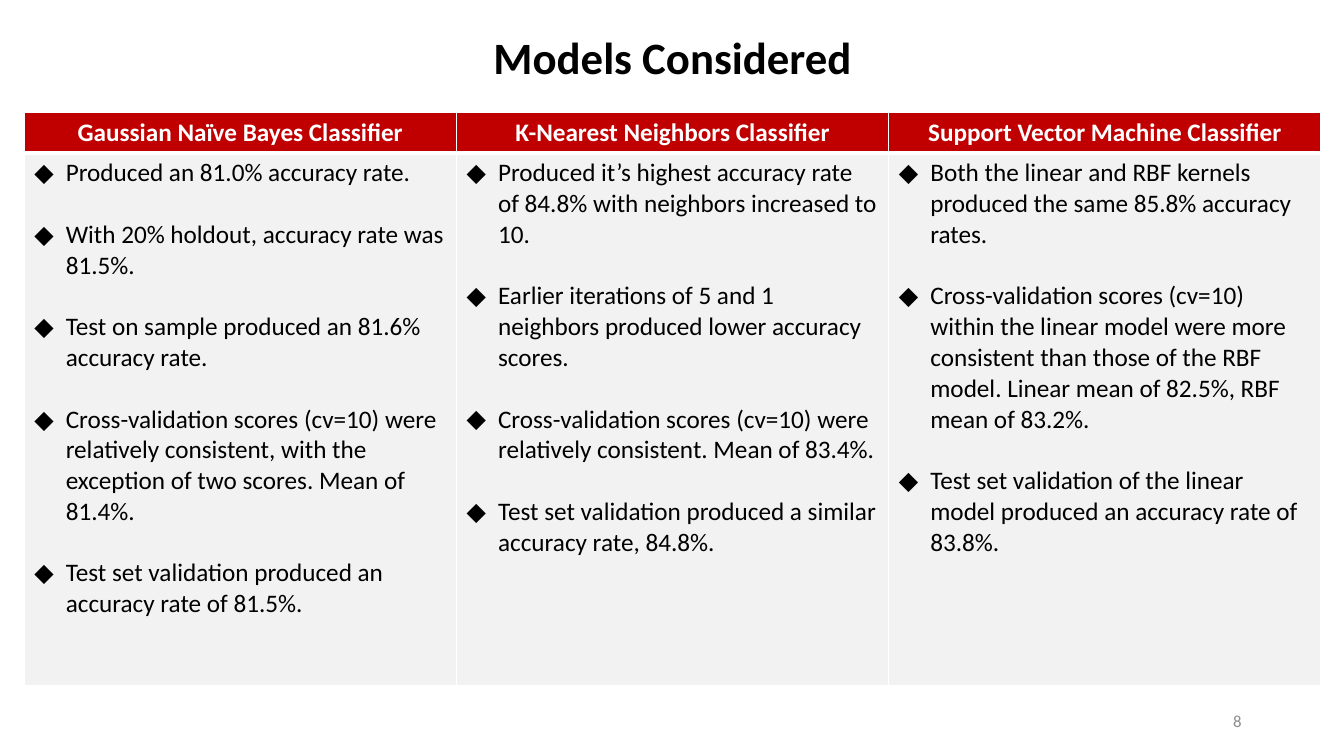
from lxml import etree
from pptx import Presentation
from pptx.dml.color import RGBColor
from pptx.enum.text import MSO_ANCHOR, PP_ALIGN
from pptx.oxml.ns import qn
from pptx.util import Pt

TITLE = "Models Considered"
PAGE = "8"
MODELS = [
    ("Gaussian Naïve Bayes Classifier", [
        "Produced an 81.0% accuracy rate.",
        "With 20% holdout, accuracy rate was 81.5%.",
        "Test on sample produced an 81.6% accuracy rate.",
        "Cross-validation scores (cv=10) were relatively consistent, with the "
        "exception of two scores. Mean of 81.4%.",
        "Test set validation produced an accuracy rate of 81.5%.",
    ]),
    ("K-Nearest Neighbors Classifier", [
        "Produced it’s highest accuracy rate of 84.8% with neighbors "
        "increased to 10.",
        "Earlier iterations of 5 and 1 neighbors produced lower accuracy scores.",
        "Cross-validation scores (cv=10) were relatively consistent. "
        "Mean of 83.4%.",
        "Test set validation produced a similar accuracy rate, 84.8%.",
    ]),
    ("Support Vector Machine Classifier", [
        "Both the linear and RBF kernels produced the same 85.8% accuracy rates.",
        "Cross-validation scores (cv=10) within the linear model were more "
        "consistent than those of the RBF model. Linear mean of 82.5%, "
        "RBF mean of 83.2%.",
        "Test set validation of the linear model produced an accuracy rate "
        "of 83.8%.",
    ]),
]

FONT = "Calibri"
BULLET = "◆"
BLACK = RGBColor(0x00, 0x00, 0x00)
WHITE = RGBColor(0xFF, 0xFF, 0xFF)
GRAY = RGBColor(0x8C, 0x8C, 0x8C)
RED = RGBColor(0xC0, 0x00, 0x00)
PALE = RGBColor(0xF2, 0xF2, 0xF2)
CENTER, RIGHT, LEFT = PP_ALIGN.CENTER, PP_ALIGN.RIGHT, PP_ALIGN.LEFT
MIDDLE = MSO_ANCHOR.MIDDLE

EDGE, WIDTH = 17.3, 926.4
TOP, HEAD, BODY = 80, 29.2, 380.4
INDENT, GAP = 22.5, 22
THIN, THICK = 1, 3


def style(para, text, size, color, bold=False, align=LEFT):
    para.text = text
    para.alignment = align
    font = para.font
    font.name, font.size, font.bold = FONT, Pt(size), bold
    font.color.rgb = color


def add_label(slide, box, text, size, color, bold, align):
    frame = slide.shapes.add_textbox(*map(Pt, box)).text_frame
    frame.word_wrap = True
    frame.vertical_anchor = MIDDLE
    style(frame.paragraphs[0], text, size, color, bold, align)
    return frame


def add_bullet(para):
    props = para._p.get_or_add_pPr()
    props.set("marL", str(Pt(INDENT)))
    props.set("indent", str(-Pt(INDENT)))
    face = etree.Element(qn("a:buFont"), typeface=FONT)
    mark = etree.Element(qn("a:buChar"), char=BULLET)
    for part in (face, mark):
        props.insert_element_before(part, "a:tabLst", "a:defRPr", "a:extLst")


def paint(cell, color, top, bottom):
    """Fill a cell and give it white borders."""
    cell.fill.solid()
    cell.fill.fore_color.rgb = color
    props = cell._tc.get_or_add_tcPr()
    widths = {"a:lnL": THIN, "a:lnR": THIN, "a:lnT": top, "a:lnB": bottom}
    for spot, (tag, width) in enumerate(widths.items()):
        line = etree.Element(qn(tag), w=str(Pt(width)))
        fill = etree.SubElement(line, qn("a:solidFill"))
        etree.SubElement(fill, qn("a:srgbClr"), val=str(WHITE))
        props.insert(spot, line)


def add_models(slide):
    frame = slide.shapes.add_table(
        2, len(MODELS), Pt(EDGE), Pt(TOP), Pt(WIDTH), Pt(HEAD + BODY))
    table = frame.table
    table.rows[0].height, table.rows[1].height = Pt(HEAD), Pt(BODY)
    for col, (name, facts) in enumerate(MODELS):
        table.columns[col].width = Pt(WIDTH / len(MODELS))
        head, body = table.cell(0, col), table.cell(1, col)
        paint(head, RED, THIN, THICK)
        paint(body, PALE, THICK, THIN)
        style(head.text_frame.paragraphs[0], name, 18, WHITE, True, CENTER)
        text = body.text_frame
        for row, fact in enumerate(facts):
            para = text.add_paragraph() if row else text.paragraphs[0]
            style(para, fact, 18, BLACK)
            para.space_after = Pt(GAP)
            add_bullet(para)


def main():
    deck = Presentation()
    deck.slide_width, deck.slide_height = Pt(960), Pt(540)
    slide = deck.slides.add_slide(deck.slide_layouts[6])
    title = add_label(slide, (EDGE, 13, WIDTH, 59.8), TITLE, 32, BLACK,
                      True, CENTER)
    title.paragraphs[0].line_spacing = 0.9
    add_label(slide, (678, 500.5, 216, 28.8), PAGE, 12, GRAY, False, RIGHT)
    add_models(slide)
    deck.save("out.pptx")


if __name__ == "__main__":
    main()
